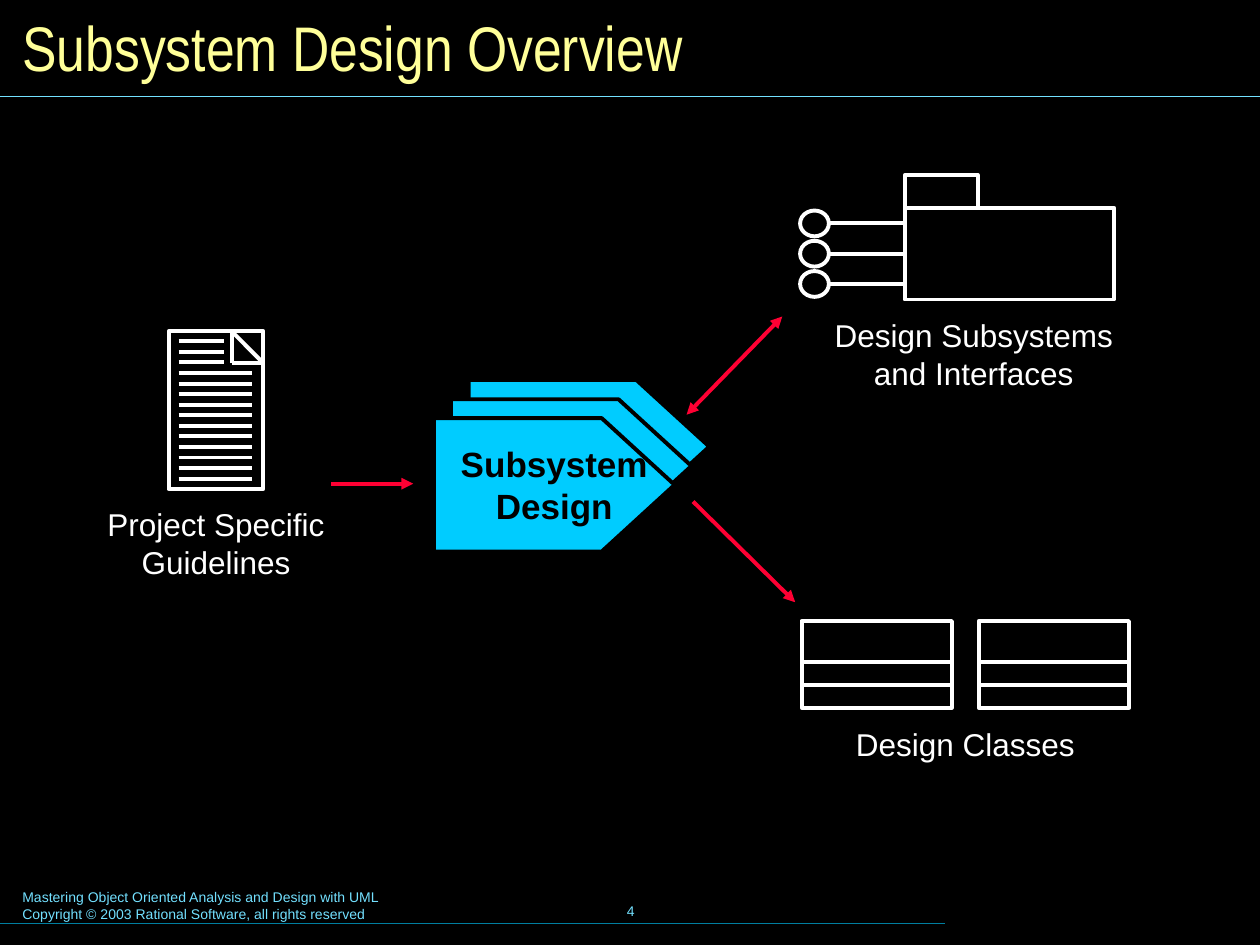
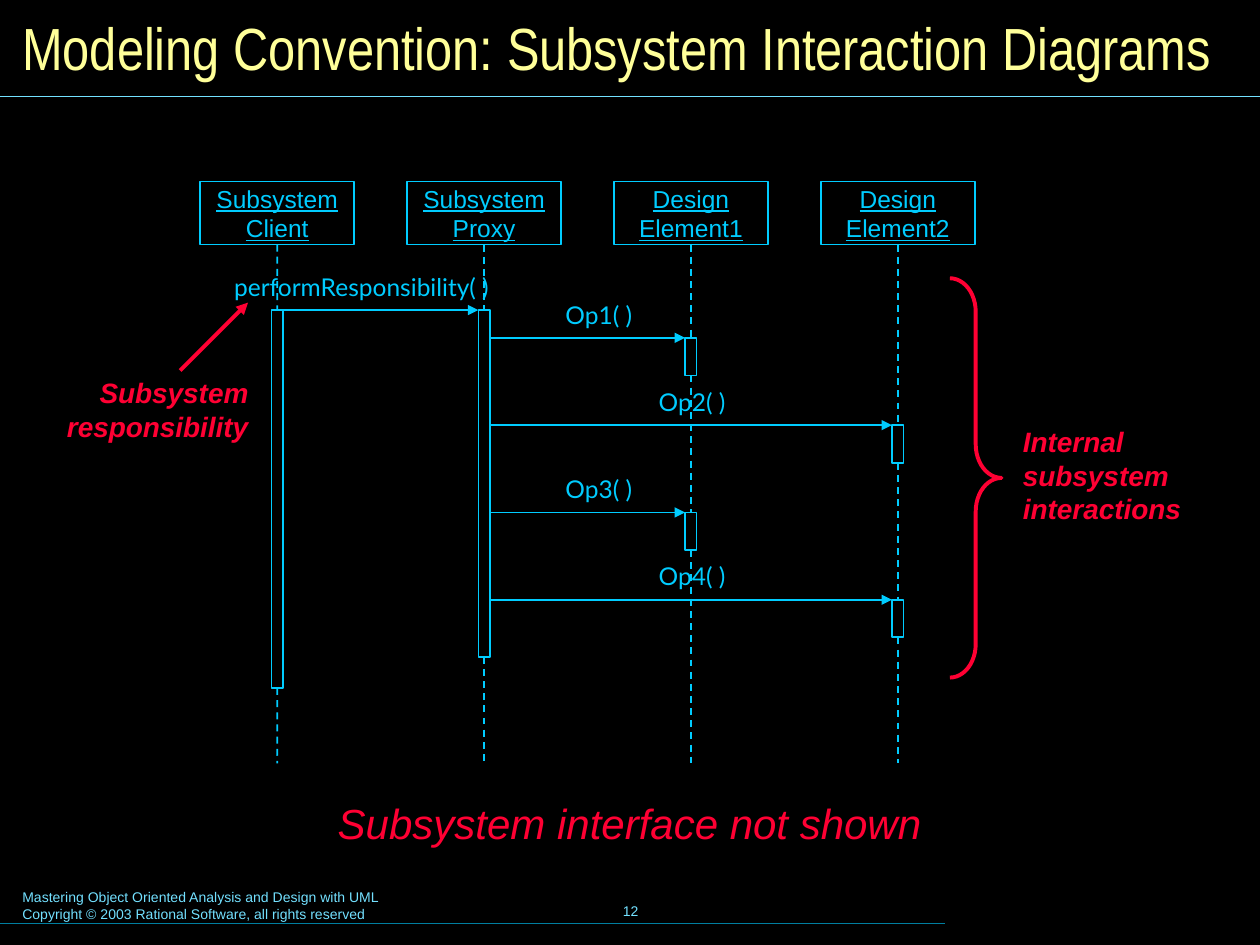
from lxml import etree
from pptx import Presentation
from pptx.dml.color import RGBColor
from pptx.enum.dml import MSO_LINE
from pptx.enum.shapes import MSO_CONNECTOR, MSO_SHAPE
from pptx.enum.text import MSO_ANCHOR, PP_ALIGN
from pptx.oxml.ns import qn
from pptx.util import Cm, Pt

LEFT, CENTER, RIGHT = PP_ALIGN.LEFT, PP_ALIGN.CENTER, PP_ALIGN.RIGHT
TOP, MIDDLE = MSO_ANCHOR.TOP, MSO_ANCHOR.MIDDLE
RECTANGLE, OVAL, BRACE = MSO_SHAPE.RECTANGLE, MSO_SHAPE.OVAL, MSO_SHAPE.RIGHT_BRACE
STRAIGHT = MSO_CONNECTOR.STRAIGHT
DASH = MSO_LINE.DASH
SIDE_TOP, SIDE_LEFT, SIDE_BOTTOM = 0, 1, 2

COLORS = {
    "black": "000000",
    "white": "FFFFFF",
    "title": "FFFF99",
    "pale": "73E1FF",
    "teal": "007E9F",
    "cyan": "00CCFF",
    "red": "FF0033",
}
FOOTER = ("Mastering Object Oriented Analysis and Design with UML\n"
          "Copyright © 2003 Rational Software, all rights reserved")


def rgb(name):
    return RGBColor.from_string(COLORS[name])


def write_text(shape, text, size, color, align=LEFT, anchor=TOP, font="Arial",
               wrap=True, margins=(0.25, 0.13), **style):
    frame = shape.text_frame
    frame.text = text
    frame.word_wrap = wrap
    frame.vertical_anchor = anchor
    frame.margin_left = frame.margin_right = Cm(margins[0])
    frame.margin_top = frame.margin_bottom = Cm(margins[1])
    for para in frame.paragraphs:
        para.alignment = align
        for span in para.runs:
            span.font.name = font
            span.font.size = Pt(size)
            span.font.color.rgb = rgb(color)
            for key, value in style.items():
                setattr(span.font, key, value)


def add_text(page, left, top, width, height, text, size, color, **options):
    box = page.shapes.add_textbox(Cm(left), Cm(top), Cm(width), Cm(height))
    write_text(box, text, size, color, **options)


def format_shape(shape, line, weight, fill=None):
    shape.shadow.inherit = False
    shape.line.color.rgb = rgb(line)
    shape.line.width = Pt(weight)
    if fill:
        shape.fill.solid()
        shape.fill.fore_color.rgb = rgb(fill)
    else:
        shape.fill.background()
    return shape


def add_outline(page, kind, left, top, width, height, color="white", weight=2.25):
    shape = page.shapes.add_shape(kind, Cm(left), Cm(top), Cm(width), Cm(height))
    return format_shape(shape, color, weight)


def add_line(page, start, end, color="white", weight=2.25, dash=None, arrows=()):
    line = page.shapes.add_connector(STRAIGHT, *(Cm(value) for value in start + end))
    line.line.color.rgb = rgb(color)
    line.line.width = Pt(weight)
    if dash:
        line.line.dash_style = dash
    properties = line.line._get_or_add_ln()
    for end_name in arrows:
        etree.SubElement(properties, qn(f"a:{end_name}"), type="triangle")
    etree.SubElement(line._element.spPr, qn("a:effectLst"))
    return line


def add_page(deck, title, title_size, number):
    page = deck.slides.add_slide(deck.slide_layouts[5])
    page.background.fill.solid()
    page.background.fill.fore_color.rgb = rgb("black")
    heading = page.shapes.title
    heading.left, heading.top = Cm(0.2), Cm(0.2)
    heading.width, heading.height = Cm(25), Cm(1.47)
    write_text(heading, title, title_size, "title", anchor=MIDDLE, font="Arial Narrow")
    add_line(page, (0, 1.94), (25.4, 1.94), "pale", 0.75)
    add_line(page, (0, 18.62), (19.05, 18.62), "teal", 0.75)
    add_text(page, 0.2, 17.78, 12.95, 0.94, FOOTER, 8, "pale")
    add_text(page, 8.69, 17.73, 8.05, 1.27, str(number), 8, "pale",
             align=CENTER, anchor=MIDDLE, wrap=False)
    return page


def add_caption(page, center, top, width, text):
    height = 1.78 if "\n" in text else 1.02
    add_text(page, center - width / 2, top, width, height, text, 18, "white",
             align=CENTER, wrap=False)


def draw_guidelines(page, left, top):
    width, height, fold = 1.91, 3.18, 0.64
    short_lines, line_count = 3, 14
    add_outline(page, RECTANGLE, left, top, width, height)
    right = left + width
    corners = [(right - fold, top), (right, top + fold), (right - fold, top + fold)]
    for index, corner in enumerate(corners):
        add_line(page, corner, corners[index - 1])
    for index in range(line_count):
        y = top + 0.2 + index * 2.77 / (line_count - 1)
        length = 0.92 if index < short_lines else 1.47
        add_line(page, (left + 0.2, y), (left + 0.2 + length, y))
    add_caption(page, left + width / 2, top + 3.38, 4.88, "Project Specific\nGuidelines")


def draw_activity(page, left, top):
    width, height, shoulder = 4.85, 2.69, 3.38
    for right_shift, up_shift in ((0.7, 0.77), (0.34, 0.38), (0, 0)):
        x, y = left + right_shift, top - up_shift
        outline = [(x + shoulder, y), (x + width, y + height / 2),
                   (x + shoulder, y + height), (x, y + height)]
        builder = page.shapes.build_freeform(Cm(x), Cm(y))
        builder.add_line_segments([(Cm(a), Cm(b)) for a, b in outline])
        pentagon = format_shape(builder.convert_to_shape(), "black", 2.25, "cyan")
    write_text(pentagon, "Subsystem\nDesign", 20, "black", align=CENTER,
               anchor=MIDDLE, wrap=False, bold=True)


def draw_subsystem(page, left, top):
    package_left, package_top = left + 2.11, top + 0.66
    package_width, package_height = 4.22, 1.85
    circle_width, circle_height, pitch = 0.58, 0.52, 0.61
    package = add_outline(page, RECTANGLE, package_left, package_top,
                          package_width, package_height)
    add_outline(page, RECTANGLE, package_left, top, 1.47, 0.66)
    middle = package_top + package_height / 2
    for step in (-1, 0, 1):
        y = middle + step * pitch
        add_outline(page, OVAL, left, y - circle_height / 2, circle_width, circle_height)
        stem = add_line(page, (left + circle_width, y), (package_left, y))
        if step == 0:
            stem.end_connect(package, SIDE_LEFT)
    add_caption(page, left + 3.5, top + 2.72, 6.3, "Design Subsystems\nand Interfaces")


def draw_classes(page, left, top):
    width, height, pitch = 3.03, 1.75, 3.57
    for x in (left, left + pitch):
        add_outline(page, RECTANGLE, x, top, width, height)
        for offset in (0.83, 1.28):
            add_line(page, (x, top + offset), (x + width, top + offset))
    add_caption(page, left + (pitch + width) / 2, top + 1.96, 5.92, "Design Classes")


def build_overview(deck):
    page = add_page(deck, "Subsystem Design Overview", 36, 4)
    draw_guidelines(page, 3.4, 6.68)
    draw_activity(page, 8.75, 8.43)
    draw_subsystem(page, 16.13, 3.53)
    draw_classes(page, 16.16, 12.52)
    add_line(page, (6.68, 9.75), (8.33, 9.75), "red", arrows=("tailEnd",))
    add_line(page, (13.84, 8.36), (15.77, 6.38), "red", arrows=("headEnd", "tailEnd"))
    add_line(page, (13.97, 10.11), (16.03, 12.14), "red", arrows=("tailEnd",))


def draw_lifeline(page, left, top, bottom, name, activations):
    width, height, bar_width = 3.1, 1.27, 0.23
    center = left + width / 2
    previous = add_outline(page, RECTANGLE, left, top, width, height, "cyan", 1)
    write_text(previous, name, 14, "cyan", align=CENTER, anchor=MIDDLE,
               wrap=False, margins=(0, 0), underline=True)
    for offset, length in activations:
        bar = add_outline(page, RECTANGLE, center - bar_width / 2, top + offset,
                          bar_width, length, "cyan", 1)
        link = add_line(page, (center, top), (center, top + offset), "cyan", 1, DASH)
        link.begin_connect(previous, SIDE_BOTTOM)
        link.end_connect(bar, SIDE_TOP)
        previous = bar
    rest = add_line(page, (center, top), (center, bottom), "cyan", 1, DASH)
    rest.begin_connect(previous, SIDE_BOTTOM)


def draw_message(page, start, end, y, label_left, label_width, label):
    add_line(page, (start, y), (end, y), "cyan", 1, arrows=("tailEnd",))
    add_text(page, label_left, y - 0.77, label_width, 0.58, label, 14, "cyan",
             font="Lato", wrap=False, margins=(0, 0))


def draw_sequence(page, left, top):
    pitch, bottom, half_bar = 4.17, top + 11.73, 0.12
    call = 2.59
    operations = [3.15 + 1.76 * index for index in range(4)]
    lifelines = [
        ("Subsystem\nClient", [(call, 7.62)]),
        ("Subsystem\nProxy", [(call, 6.99)]),
        ("Design\nElement1", [(offset, 0.76) for offset in operations[::2]]),
        ("Design\nElement2", [(offset, 0.76) for offset in operations[1::2]]),
    ]
    for index, (name, activations) in enumerate(lifelines):
        draw_lifeline(page, left + index * pitch, top, bottom, name, activations)
    centers = [left + 1.55 + index * pitch for index in range(len(lifelines))]
    draw_message(page, centers[0] + half_bar, centers[1] - half_bar, top + call,
                 left + 0.68, 5.56, "performResponsibility( )")
    for index, offset in enumerate(operations):
        column = index % 2
        draw_message(page, centers[1] + half_bar, centers[2 + column] - half_bar,
                     top + offset, left + 7.36 + 1.88 * column, 1.4, f"Op{index + 1}( )")


def draw_annotations(page):
    emphasis = {"bold": True, "italic": True}
    add_text(page, 0.97, 7.44, 4.29, 1.63, "Subsystem responsibility", 16, "red",
             align=RIGHT, **emphasis)
    add_line(page, (3.63, 7.47), (5, 6.1), "red", arrows=("tailEnd",))
    brace = add_outline(page, BRACE, 19.15, 5.61, 1.04, 8.05, "red")
    brace.adjustments[0] = 0.65
    add_text(page, 20.37, 8.43, 3.81, 2.29, "Internal subsystem interactions", 16, "red",
             **emphasis)
    add_text(page, 6.02, 15.93, 13.34, 1.32, "Subsystem interface not shown", 24, "red",
             align=CENTER, margins=(0.3, 0.15), italic=True)


def build_interaction(deck):
    page = add_page(deck, "Modeling Convention: Subsystem Interaction Diagrams", 34, 12)
    draw_sequence(page, 4.04, 3.66)
    draw_annotations(page)


def main():
    deck = Presentation()
    deck.slide_width, deck.slide_height = Cm(25.4), Cm(19.05)
    build_overview(deck)
    build_interaction(deck)
    deck.save("out.pptx")


if __name__ == "__main__":
    main()
